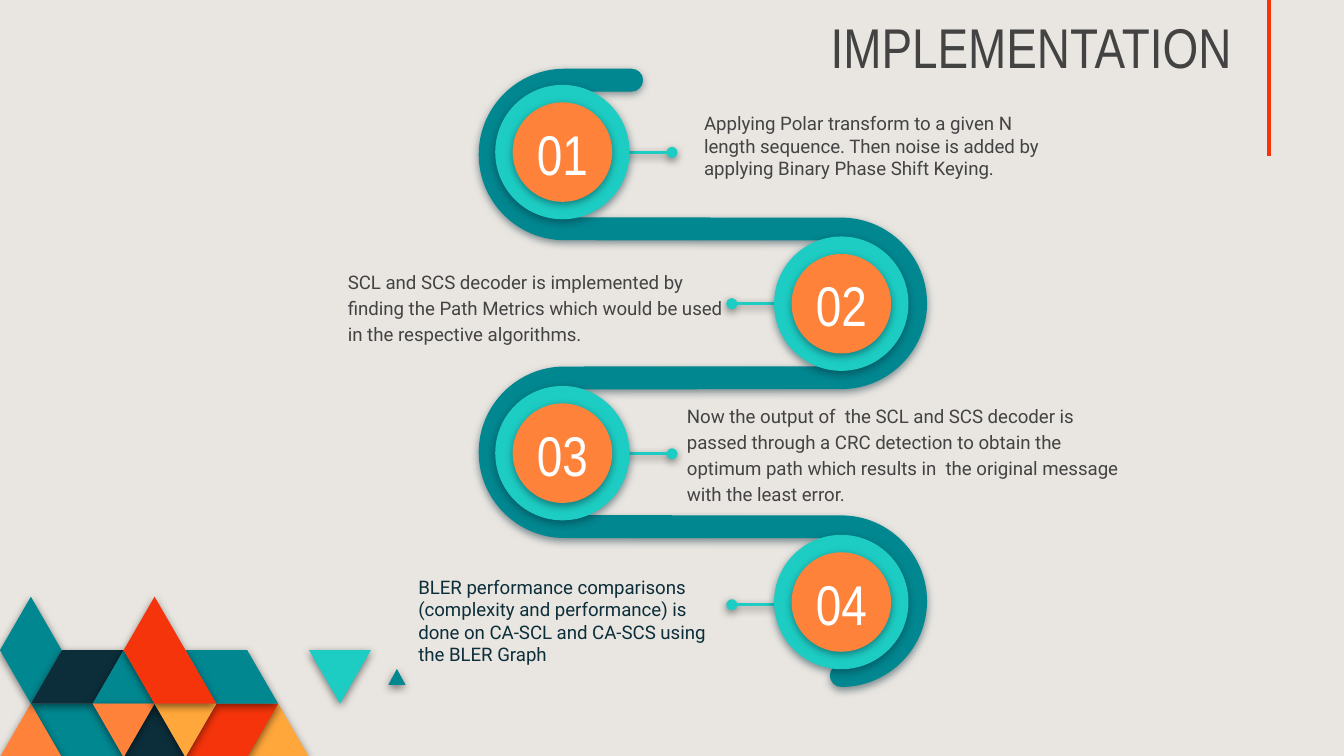
from math import cos, radians, sin
from lxml import etree
from pptx import Presentation
from pptx.dml.color import RGBColor
from pptx.enum.shapes import MSO_CONNECTOR, MSO_SHAPE
from pptx.enum.text import MSO_ANCHOR, PP_ALIGN
from pptx.oxml import parse_xml
from pptx.oxml.ns import nsdecls, qn
from pptx.util import Inches, Pt

OVAL = MSO_SHAPE.OVAL
STRAIGHT = MSO_CONNECTOR.STRAIGHT
TOP, MIDDLE, BOTTOM = MSO_ANCHOR.TOP, MSO_ANCHOR.MIDDLE, MSO_ANCHOR.BOTTOM
LEFT, CENTER, RIGHT = PP_ALIGN.LEFT, PP_ALIGN.CENTER, PP_ALIGN.RIGHT
TEAL, AQUA, NAVY = "018790", "1DCDC3", "0C2E3A"
RED, ORANGE, AMBER = "F5340B", "FF823B", "FFA73B"
GRAY, WHITE, BLACK = "434343", "FFFFFF", "000000"
rgb = RGBColor.from_string

deck = Presentation()
deck.slide_width, deck.slide_height = Inches(10), Inches(5.625)
cell = deck.slide_width / 100
slide = deck.slides.add_slide(deck.slide_layouts[6])
shapes = slide.shapes
slide.background.fill.solid()
slide.background.fill.fore_color.rgb = rgb("E9E6E1")


def paint(shape, color, shade=None, width=None):
    if width:
        shape.line.color.rgb = rgb(color)
        shape.line.width = Pt(width)
    else:
        shape.fill.solid()
        shape.fill.fore_color.rgb = rgb(color)
        shape.line.fill.background()
    glow = (f'<a:outerShdw blurRad="57150" dist="19050" dir="5400000" algn="bl" rotWithShape="0">'
            f'<a:srgbClr val="{shade}"><a:alpha val="50000"/></a:srgbClr></a:outerShdw>') if shade else ""
    shape._element.spPr.append(parse_xml(f'<a:effectLst {nsdecls("a")}>{glow}</a:effectLst>'))


def write(words, box, size, font, color, align=LEFT, anchor=TOP, **gaps):
    frame = shapes.add_textbox(*[round(n * cell) for n in box]).text_frame
    sides = dict.fromkeys(("margin_left", "margin_top", "margin_right", "margin_bottom"), round(cell))
    for name, value in dict(sides, word_wrap=True, vertical_anchor=anchor).items():
        setattr(frame, name, value)
    para = frame.paragraphs[0]
    for name, value in dict(gaps, alignment=align).items():
        setattr(para, name, value)
    run = para.add_run()
    run.text = words
    for name, value in dict(size=Pt(size), name=font).items():
        setattr(run.font, name, value)
    run.font.color.rgb = rgb(color)


tiles = [
    (AMBER, [(10, 3), (9, 2), (8, 3)]),
    (RED, [(9, 2), (7, 2), (6, 3), (8, 3)]),
    (TEAL, [(4, 3), (3, 2), (1, 2), (2, 3)]),
    (ORANGE, [(2, 3), (1, 2), (0, 3)]),
    (NAVY, [(6, 3), (5, 2), (4, 3)]),
    (TEAL, [(9, 2), (8, 1), (6, 1), (7, 2)]),
    (TEAL, [(13.12, 1.65), (12.84, 1.35), (12.56, 1.65)]),
    (AQUA, [(12, 1), (10, 1), (11, 2)]),
    (TEAL, [(2, 1), (1, 0), (0, 1), (1, 2)]),
    (NAVY, [(4, 1), (2, 1), (1, 2), (3, 2)]),
    (TEAL, [(5, 2), (4, 1), (3, 2)]),
    (ORANGE, [(5, 2), (3, 2), (4, 3)]),
    (AMBER, [(7, 2), (5, 2), (6, 3)]),
    (RED, [(7, 2), (5, 0), (4, 1), (5, 2)]),
]
for color, spots in tiles:
    dots = [(col * 2.3 * cell, (44.4 + row * 3.98) * cell) for col, row in spots]
    pen = shapes.build_freeform(*dots[0], scale=1)
    pen.add_line_segments(dots[1:])
    paint(pen.convert_to_shape(), color, BLACK)

rule = shapes.add_connector(STRAIGHT, *[round(n * cell) for n in (94.4, -17.5, 94.4, 11.6)])
paint(rule, RED, width=2.25)
write("IMPLEMENTATION ", (52.2, 0.65, 41.4, 6.3), 30, "Arial Narrow", GRAY, RIGHT, BOTTOM)

steps = [("01", 41.85, 11.32, 1), ("02", 62.6, 22.6, -1), ("03", 41.85, 33.72, 1), ("04", 62.6, 44.8, -1)]
for (label, x, y, side), level in zip(steps, (11.34, 22.6, 33.77, 45)):
    ends = (x + side * 3.2, level, x + side * 8.15, level)
    wire = shapes.add_connector(STRAIGHT, *[round(n * cell) for n in ends])
    paint(wire, AQUA, BLACK, 1.5)
    etree.SubElement(wire.line._get_or_add_ln(), qn("a:tailEnd"), type="oval")

wide, slim, cap = 6.38, 4.68, 0.85
west, east = 42, 62.6
one, two, three, four = [11.5 + 11.08 * i for i in range(4)]
arcs = [
    (west, one, wide, 270, -90), (east, two, slim, 270, 90),
    (west, three, wide, 270, -90), (east, four, slim, 270, 90),
    (east, four + slim + cap, cap, 270, -90),
    (east, four, wide, 90, -90), (west, three, slim, 90, 90),
    (east, two, wide, 90, -90), (west, one, slim, 90, 90),
    (47, one - slim - cap, cap, 90, -90),
]
bend = 0.55
dots = []
for x, y, r, start, sweep in arcs:
    for i in range(3):
        turn = radians(start + sweep * i)
        side = bend if sweep > 0 else -bend
        pulls = ((-side, 0, side), (0, side), (-side, 0))[(0, 1, 2)[i]]
        pulls = ((0, side), (-side, 0, side), (-side, 0))[i]
        for pull in pulls:
            dots.append(((x + r * (cos(turn) - pull * sin(turn))) * cell,
                         (y + r * (sin(turn) + pull * cos(turn))) * cell))
pen = shapes.build_freeform(*dots[0], scale=1)
pen.add_line_segments(dots[1:])
ribbon = pen.convert_to_shape()
track = next(ribbon._element.iter(qn("a:path")))
legs = track.findall(qn("a:lnTo"))
for i in range(len(arcs)):
    for k in (7 * i, 7 * i + 3):
        curve = etree.Element(qn("a:cubicBezTo"))
        legs[k].addprevious(curve)
        for leg in legs[k:k + 3]:
            curve.append(leg[0])
            track.remove(leg)
paint(ribbon, TEAL, NAVY)

for size, color in ((10, AQUA), (7.4, ORANGE)):
    for label, x, y, side in steps:
        box = (x - size / 2, y - size / 2, size, size)
        paint(shapes.add_shape(OVAL, *[round(n * cell) for n in box]), color, NAVY)
for label, x, y, side in steps:
    write(label, (x - 3.25, y - 3.1, 6.5, 6.3), 30, "Arial Narrow", WHITE, CENTER, MIDDLE)

loose = dict(line_spacing=1.15, space_after=Pt(16))
notes = [
    ("Applying Polar transform to a given N length sequence. Then noise is added by applying Binary Phase Shift Keying.",
     (51.4, 7.33, 27.9, 6.3), GRAY, {}),
    ("BLER performance comparisons (complexity and performance) is done on CA-SCL and CA-SCS using the BLER Graph",
     (30.14, 41.84, 24.6, 8), NAVY, {}),
    ("Now the output of  the SCL and SCS decoder is passed through a CRC detection to obtain the optimum path "
     "which results in  the original message with the least error.",
     (50.13, 28.9, 34.3, 9.1), GRAY, loose),
    ("SCL and SCS decoder is implemented by finding the Path Metrics which would be used in the respective algorithms.",
     (24.9, 18.93, 30.4, 8), GRAY, loose),
]
for words, box, color, gaps in notes:
    write(words, box, 10, "Roboto", color, **gaps)

deck.save("out.pptx")
